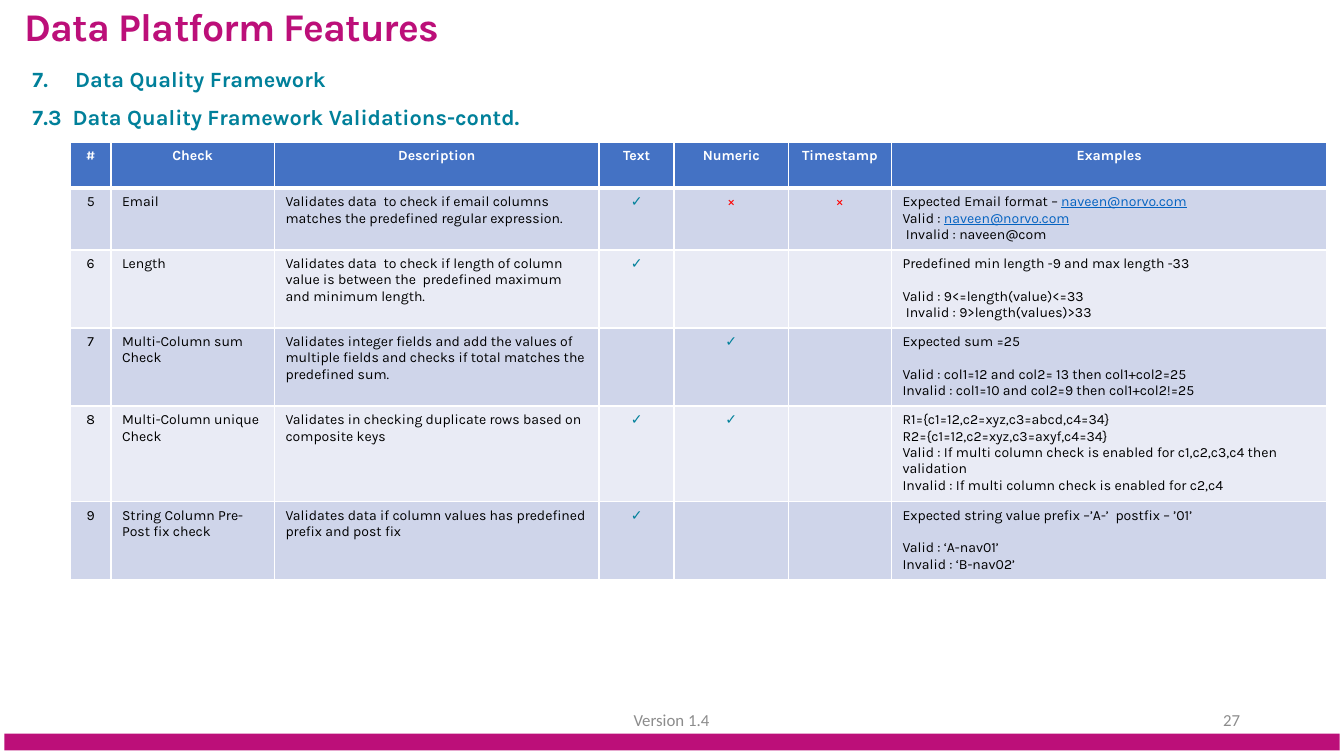
from dataclasses import dataclass
from lxml import etree
from pptx import Presentation
from pptx.dml.color import RGBColor
from pptx.enum.shapes import MSO_SHAPE
from pptx.enum.text import MSO_ANCHOR, MSO_AUTO_SIZE, PP_ALIGN
from pptx.oxml.ns import qn
from pptx.util import Inches, Pt

LEFT, CENTER, RIGHT = PP_ALIGN.LEFT, PP_ALIGN.CENTER, PP_ALIGN.RIGHT
TOP, MIDDLE = MSO_ANCHOR.TOP, MSO_ANCHOR.MIDDLE
GROW = MSO_AUTO_SIZE.SHAPE_TO_FIT_TEXT
RECTANGLE = MSO_SHAPE.RECTANGLE
TWO_CONTENT = 3


@dataclass(frozen=True)
class Theme:
    font: str = "Karla"
    footer_font: str = "Calibri"
    magenta: str = "BC0F79"
    teal: str = "00809A"
    header: str = "4472C4"
    bands: tuple = ("CFD5EA", "E9EBF5")
    white: str = "FFFFFF"
    ink: str = "000000"
    cross: str = "FF0000"
    link: str = "0563C1"
    footer: str = "8C8C8C"
    title_size: float = 25.2
    heading_size: float = 14
    table_size: float = 9
    footer_size: float = 10.8
    title_leading: float = 22.8
    table_leading: float = 10.5


THEME = Theme()
SLIDE_SIZE = (12, 6.75)
TITLE = ("Data Platform Features", (0.22, 0.11, 5.62, 0.34))
HEADINGS = [
    ("Data Quality Framework", (0.19, 0.54, 6, 0.34), 7),
    ("7.3  Data Quality Framework Validations-contd.", (0.19, 0.88, 6, 0.34), None),
]
FOOTERS = [
    ("27", (8.47, 6.25, 2.7, 0.36), RIGHT),
    ("Version 1.4", (3.97, 6.25, 4.05, 0.36), CENTER),
]
FOOTER_BAR = (0.04, 6.55, 11.92, 0.15)
TABLE_AREA = (0.63, 1.27, 11.22, 3.86)
COLUMN_SHARES = [0.36, 1.46, 2.9, 0.67, 1.02, 0.92, 3.89]
ROW_SHARES = [0.41, 0.54, 0.69, 0.69, 0.84, 0.69]
LEFT_COLUMNS = {1, 2, 6}
EMAIL = "naveen@norvo.com"
MARK_COLORS = {"✓": THEME.teal, "×": THEME.cross}

HEADER = ["#", "Check", "Description", "Text", "Numeric", "Timestamp", "Examples"]
CHECKS = [
    ("5", "Email",
     "Validates data  to check if email columns matches the predefined regular expression.",
     "✓", "×", "×",
     [[f"Expected Email format – {EMAIL}", f"Valid : {EMAIL}", " Invalid : naveen@com"]]),
    ("6", "Length",
     "Validates data  to check if length of column value is between the  predefined maximum and minimum length.",
     "✓", "", "",
     [["Predefined min length -9 and max length -33"],
      ["Valid : 9<=length(value)<=33", " Invalid : 9>length(values)>33"]]),
    ("7", "Multi-Column sum Check",
     "Validates integer fields and add the values of multiple fields and checks if total matches the predefined sum.",
     "", "✓", "",
     [["Expected sum =25"],
      ["Valid : col1=12 and col2= 13 then col1+col2=25",
       "Invalid : col1=10 and col2=9 then col1+col2!=25"]]),
    ("8", "Multi-Column unique Check",
     "Validates in checking duplicate rows based on composite keys",
     "✓", "✓", "",
     [["R1={c1=12,c2=xyz,c3=abcd,c4=34}", "R2={c1=12,c2=xyz,c3=axyf,c4=34}",
       "Valid : If multi column check is enabled for c1,c2,c3,c4 then validation",
       "Invalid : If multi column check is enabled for c2,c4"]]),
    ("9", "String Column Pre-Post fix check",
     "Validates data if column values has predefined prefix and post fix",
     "✓", "", "",
     [["Expected string value prefix –’A-’  postfix – ’01’"],
      ["Valid : ‘A-nav01’", "Invalid : ‘B-nav02’"]]),
]


def place(shape, area):
    shape.left, shape.top, shape.width, shape.height = map(Inches, area)


def add_span(para, text, size, color, bold=False, font=THEME.font):
    span = para.add_run()
    span.text = text
    span.font.name = font
    span.font.size = Pt(size)
    span.font.bold = bold
    span.font.color.rgb = RGBColor.from_string(color)
    return span


def fill_solid(target, color):
    target.fill.solid()
    target.fill.fore_color.rgb = RGBColor.from_string(color)


def prepare_frame(shape, anchor, grow=True):
    frame = shape.text_frame
    frame.word_wrap = True
    frame.vertical_anchor = anchor
    if grow:
        frame.auto_size = GROW
    return frame


def set_borders(cell, bottom):
    properties = cell._tc.get_or_add_tcPr()
    for index, side in enumerate(("lnL", "lnR", "lnT", "lnB")):
        width = bottom if side == "lnB" else 1
        line = etree.Element(qn(f"a:{side}"), w=str(Pt(width)))
        solid = etree.SubElement(line, qn("a:solidFill"))
        etree.SubElement(solid, qn("a:srgbClr"), val=THEME.white)
        properties.insert(index, line)


def add_title(slide):
    text, area = TITLE
    title = slide.shapes.title
    place(title, area)
    frame = prepare_frame(title, TOP)
    frame.margin_left = frame.margin_right = frame.margin_bottom = 0
    frame.margin_top = Inches(0.01)
    para = frame.paragraphs[0]
    para.alignment = LEFT
    para.line_spacing = Pt(THEME.title_leading)
    span = add_span(para, text, THEME.title_size, THEME.magenta, True)
    span.font._element.set("spc", "-50")


def add_heading(box, text, area, number):
    place(box, area)
    para = prepare_frame(box, TOP).paragraphs[0]
    para.alignment = LEFT
    para.space_before = Pt(0)
    properties = para._p.get_or_add_pPr()
    indent = Inches(0.38) if number else 0
    properties.set("marL", str(indent))
    properties.set("indent", str(-indent))
    if number:
        etree.SubElement(properties, qn("a:buFont"), typeface="+mj-lt")
        etree.SubElement(properties, qn("a:buAutoNum"), type="arabicPeriod", startAt=str(number))
    else:
        etree.SubElement(properties, qn("a:buNone"))
    add_span(para, text, THEME.heading_size, THEME.teal, True)


def write_cell(cell, content, align, color, bold):
    groups = content if isinstance(content, list) else [[content]]
    frame = cell.text_frame
    for group_index, group in enumerate(groups):
        for line_index, line in enumerate(group):
            first = group_index == line_index == 0
            para = frame.paragraphs[0] if first else frame.add_paragraph()
            para.alignment = align
            if group_index and line_index == 0:
                para.space_before = Pt(THEME.table_leading)
            for part in filter(None, line.partition(EMAIL)):
                shade = THEME.link if part == EMAIL else MARK_COLORS.get(part, color)
                span = add_span(para, part, THEME.table_size, shade, bold)
                if part == EMAIL:
                    span.font.underline = True


def add_checks(slide):
    rows = [HEADER, *CHECKS]
    table = slide.shapes.add_table(len(rows), len(HEADER), *map(Inches, TABLE_AREA)).table
    table.first_row = table.horz_banding = False
    for tracks, shares, name, length in (
        (table.columns, COLUMN_SHARES, "width", TABLE_AREA[2]),
        (table.rows, ROW_SHARES, "height", TABLE_AREA[3]),
    ):
        for track, share in zip(tracks, shares):
            setattr(track, name, Inches(length * share / sum(shares)))
    for row_index, row in enumerate(rows):
        is_header = row_index == 0
        fill = THEME.header if is_header else THEME.bands[(row_index - 1) % 2]
        color = THEME.white if is_header else THEME.ink
        for column_index, content in enumerate(row):
            cell = table.cell(row_index, column_index)
            align = LEFT if column_index in LEFT_COLUMNS and not is_header else CENTER
            fill_solid(cell, fill)
            set_borders(cell, 3 if is_header else 1)
            write_cell(cell, content, align, color, is_header)


def add_footer(slide):
    bar = slide.shapes.add_shape(RECTANGLE, *map(Inches, FOOTER_BAR))
    bar.shadow.inherit = False
    fill_solid(bar, THEME.magenta)
    bar.line.fill.background()
    for text, area, align in FOOTERS:
        box = slide.shapes.add_textbox(*map(Inches, area))
        para = prepare_frame(box, MIDDLE, grow=False).paragraphs[0]
        para.alignment = align
        add_span(para, text, THEME.footer_size, THEME.footer, font=THEME.footer_font)


def main():
    deck = Presentation()
    deck.slide_width, deck.slide_height = map(Inches, SLIDE_SIZE)
    slide = deck.slides.add_slide(deck.slide_layouts[TWO_CONTENT])
    add_title(slide)
    for index, heading in enumerate(HEADINGS, start=1):
        add_heading(slide.placeholders[index], *heading)
    add_checks(slide)
    add_footer(slide)
    deck.save("out.pptx")


if __name__ == "__main__":
    main()
